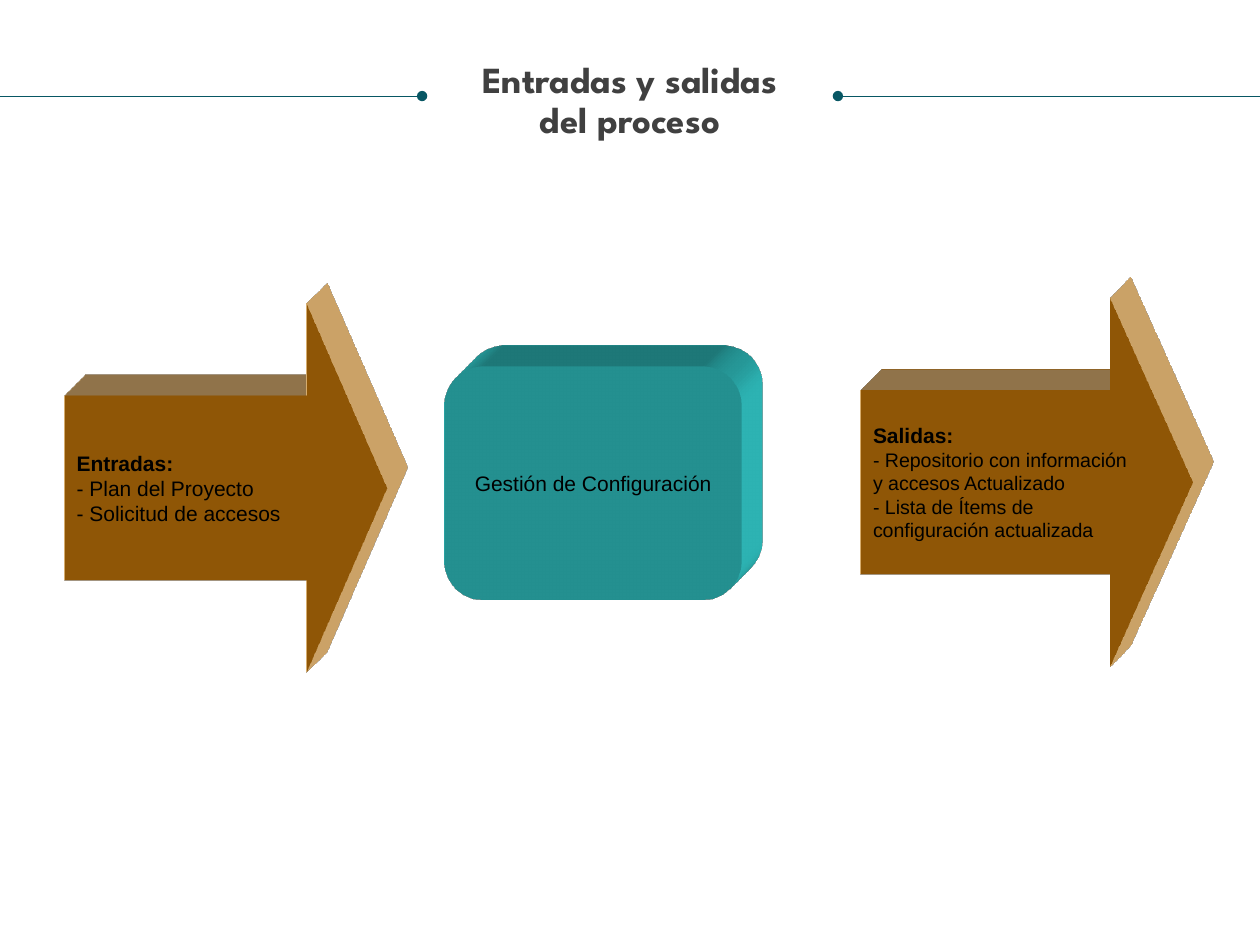
from dataclasses import dataclass

from lxml.etree import SubElement
from pptx import Presentation
from pptx.dml.color import RGBColor
from pptx.enum.shapes import MSO_CONNECTOR, MSO_SHAPE as Geo
from pptx.enum.text import MSO_ANCHOR as Anchor, PP_ALIGN as Align
from pptx.oxml import parse_xml
from pptx.oxml.ns import nsdecls, qn
from pptx.util import Pt

WHITE = RGBColor(0xFF, 0xFF, 0xFF)
BLACK = RGBColor(0x00, 0x00, 0x00)
GRAY = RGBColor(0x40, 0x40, 0x40)
BROWN = RGBColor(0xCB, 0x7A, 0x09)
TAN = RGBColor(0xF5, 0xC4, 0x7D)
TEAL = RGBColor(0x33, 0xCC, 0xCC)
NAVY = RGBColor(0x08, 0x57, 0x64)


@dataclass
class Block:
    geo: Geo
    box: tuple[float, float, float, float]
    adjust: tuple[float, ...]
    fill: RGBColor
    side: RGBColor
    texts: tuple[str, ...]
    size: float = 12
    head: bool = False


@dataclass
class Rule:
    start: float
    end: float
    dot: str


# A "\v" in a text is a line break
BLOCKS = (
    Block(Geo.RIGHT_ARROW, (36.7, 173.5, 184.3, 211), (0.5, 0.25), BROWN, TAN,
          ("Entradas:\v- Plan del Proyecto", "- Solicitud de accesos"),
          head=True),
    Block(Geo.ROUNDED_RECTANGLE, (254, 209.3, 170, 133.2), (0.167,),
          TEAL, TEAL, ("Gestión de Configuración",)),
    Block(Geo.RIGHT_ARROW, (491.8, 170, 189.4, 211), (0.5, 0.25), BROWN, TAN,
          ("Salidas:\v- Repositorio con información \vy accesos Actualizado",
           "- Lista de Ítems de \vconfiguración actualizada"),
          size=11.2, head=True),
)
RULES = (Rule(478.8, 720, "headEnd"), Rule(0, 241.2, "tailEnd"))
RULE_Y = 54.9


def style(para, font: str, size: float, color: RGBColor, bold: bool) -> None:
    for run in para.runs:
        run.font.name = font
        run.font.size = Pt(size)
        run.font.color.rgb = color
        run.font.bold = bold
    for gap in para._p.findall(qn("a:br")):
        SubElement(gap, qn("a:rPr")).set("sz", str(round(size * 100)))


def extrude(shape, side: RGBColor) -> None:
    """Give the shape an oblique depth toward the top right."""
    ns = nsdecls("a")
    props = shape._element.spPr
    props.append(parse_xml(
        f'<a:scene3d {ns}><a:camera prst="legacyObliqueTopRight"/>'
        '<a:lightRig rig="legacyFlat3" dir="b"/></a:scene3d>'))
    props.append(parse_xml(
        f'<a:sp3d {ns} extrusionH="{Pt(33.9)}" prstMaterial="legacyMatte">'
        '<a:bevelT w="13500" h="13500" prst="angle"/>'
        '<a:bevelB w="13500" h="13500" prst="angle"/>'
        f'<a:extrusionClr><a:srgbClr val="{side}"/></a:extrusionClr>'
        '</a:sp3d>'))


def draw_block(slide, block: Block) -> None:
    shape = slide.shapes.add_shape(block.geo, *map(Pt, block.box))
    for i, value in enumerate(block.adjust):
        shape.adjustments[i] = value
    shape.shadow.inherit = False
    shape.fill.solid()
    shape.fill.fore_color.rgb = block.fill
    if block.head:
        shape.line.color.rgb = block.fill
        shape.line.width = Pt(0.75)
    else:
        shape.line.fill.background()
    extrude(shape, block.side)

    frame = shape.text_frame
    frame.word_wrap = not block.head
    frame.vertical_anchor = Anchor.MIDDLE
    frame.text = "\n".join(block.texts)
    for para in frame.paragraphs:
        para.alignment = Align.LEFT if block.head else Align.CENTER
        style(para, "Arial", block.size, BLACK, False)
    if block.head:
        first = frame.paragraphs[0].runs[0].font
        first.size = Pt(12)
        first.bold = True


def draw_rule(slide, rule: Rule) -> None:
    line = slide.shapes.add_connector(
        MSO_CONNECTOR.STRAIGHT, Pt(rule.start), Pt(RULE_Y),
        Pt(rule.end), Pt(RULE_Y))
    line.line.color.rgb = NAVY
    line.line.width = Pt(0.5)
    SubElement(line.line._get_or_add_ln(), qn(f"a:{rule.dot}")).set(
        "type", "oval")
    SubElement(line._element.spPr, qn("a:effectLst"))


def draw_title(slide) -> None:
    box = slide.shapes.add_textbox(Pt(13.7), Pt(35.3), Pt(692.6), Pt(91.4))
    frame = box.text_frame
    frame.word_wrap = True
    frame.margin_left = frame.margin_right = 0
    frame.margin_top = frame.margin_bottom = 0
    frame.text = "Entradas y salidas\ndel proceso"
    for para in frame.paragraphs:
        para.alignment = Align.CENTER
        para.line_spacing = 0.9
        style(para, "League Spartan", 21, GRAY, True)


def main() -> None:
    deck = Presentation()
    deck.slide_width, deck.slide_height = Pt(720), Pt(540)
    slide = deck.slides.add_slide(deck.slide_layouts[6])
    slide.background.fill.solid()
    slide.background.fill.fore_color.rgb = WHITE

    # Inputs, process and outputs
    for block in BLOCKS:
        draw_block(slide, block)

    # Title between two dotted rules
    draw_title(slide)
    for rule in RULES:
        draw_rule(slide, rule)

    deck.save("out.pptx")


if __name__ == "__main__":
    main()
